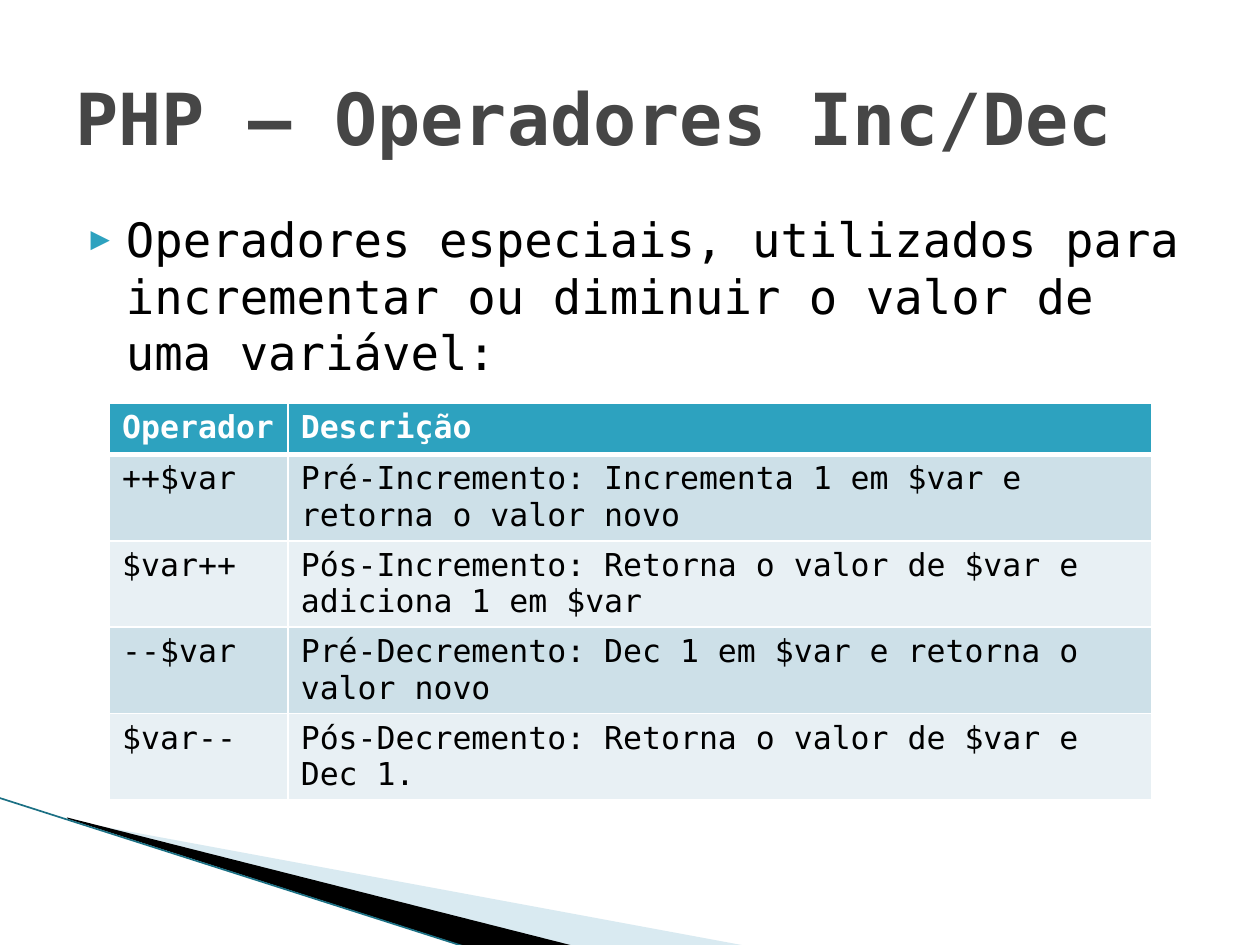
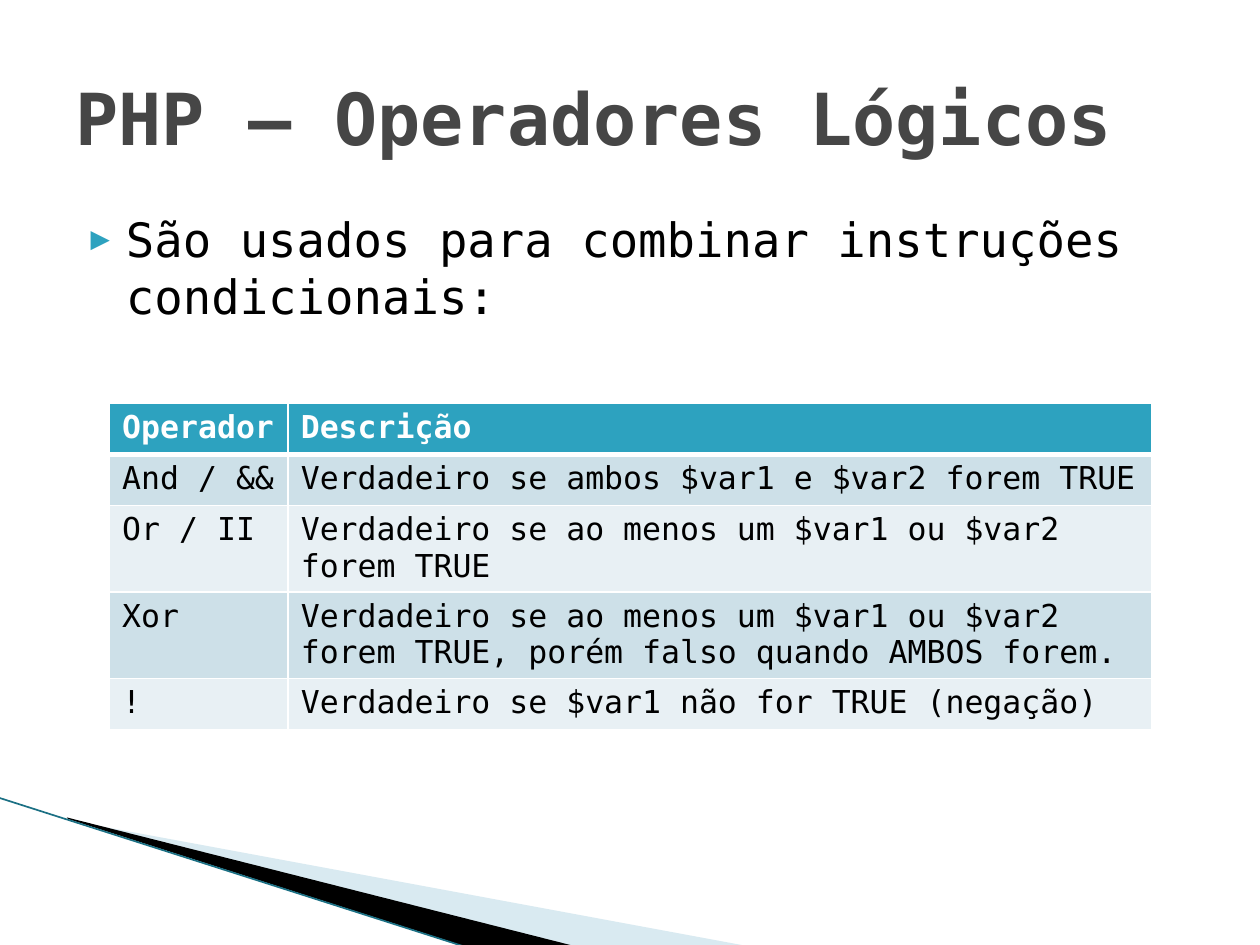
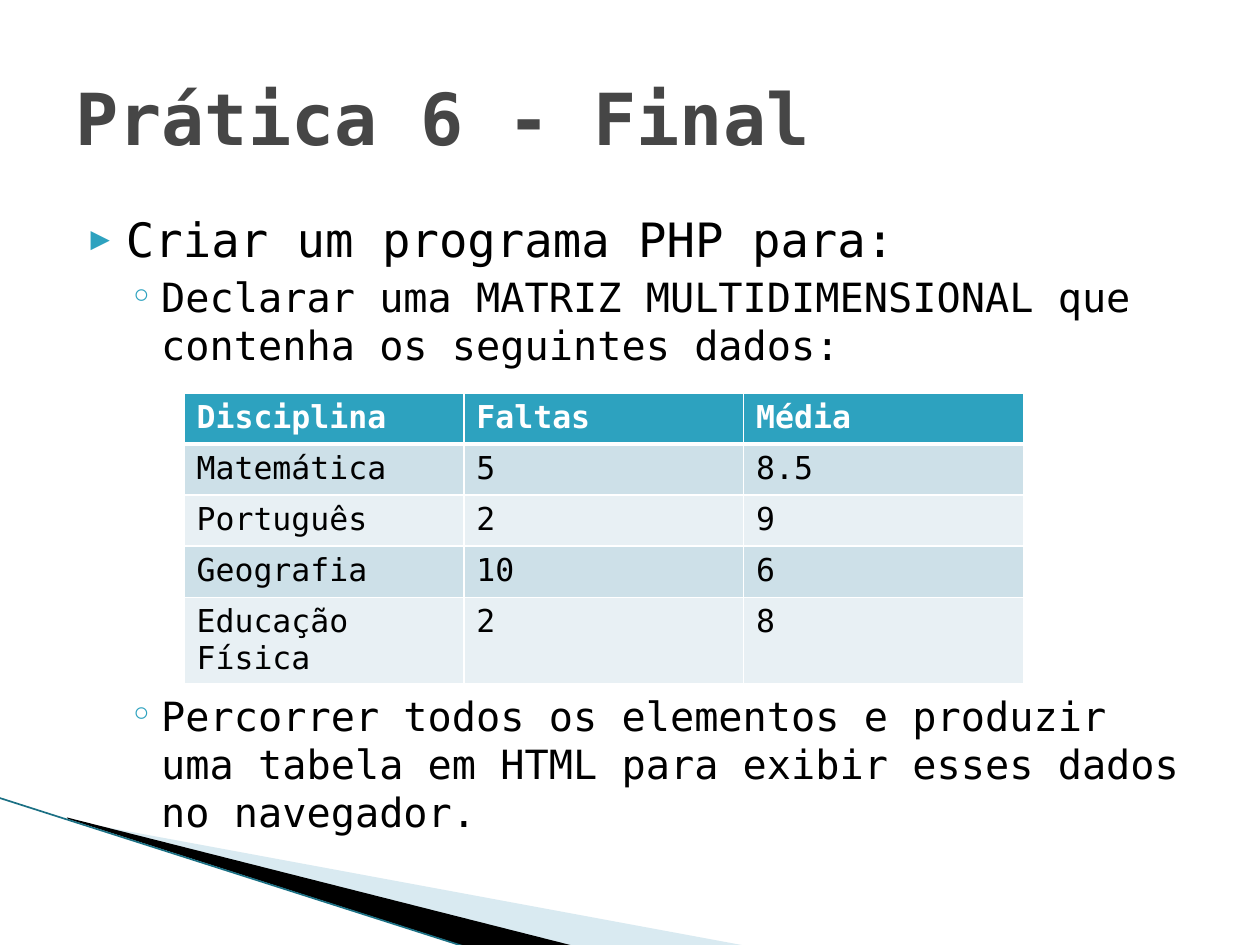
from lxml.etree import SubElement
from pptx import Presentation
from pptx.dml.color import RGBColor
from pptx.enum.shapes import MSO_CONNECTOR
from pptx.enum.text import MSO_ANCHOR
from pptx.oxml.ns import qn
from pptx.util import Cm, Pt

# Shared look
FONT = "DejaVu Sans Mono"
TEAL = RGBColor(0x2D, 0xA2, 0xBF)
DARK_TEAL = RGBColor(0x1B, 0x70, 0x84)
PALE_BLUE = RGBColor(0xA0, 0xCB, 0xDC)
ROW_ODD = RGBColor(0xCD, 0xE0, 0xE8)
ROW_EVEN = RGBColor(0xE8, 0xF0, 0xF4)
GREY = RGBColor(0x46, 0x46, 0x46)
BLACK = RGBColor(0, 0, 0)
WHITE = RGBColor(0xFF, 0xFF, 0xFF)

LEFT, WIDTH = Cm(1.27), Cm(22.86)
ROW_HEIGHT = Cm(1.03)

# Bullet levels: character, size in percent, text size, indent, hanging, space before
LEVELS = [
    ("▶", 68, Pt(27), Cm(1.02), Cm(0.71), Pt(4)),
    ("◦", 100, Pt(23), Cm(1.73), Cm(0.64), Pt(3.2)),
]


def set_font(paragraph, size, color, bold=False):
    font = paragraph.font
    font.name, font.size, font.bold = FONT, size, bold
    font.color.rgb = color


def add_wedge(page, points, color, opacity=100):
    corners = [(Cm(x), Cm(y)) for x, y in points]
    builder = page.shapes.build_freeform(*corners[0])
    builder.add_line_segments(corners[1:])
    wedge = builder.convert_to_shape()
    wedge.shadow.inherit = False
    wedge.line.fill.background()
    wedge.fill.solid()
    wedge.fill.fore_color.rgb = color
    if opacity < 100:
        tint = wedge._element.spPr.find(".//" + qn("a:srgbClr"))
        SubElement(tint, qn("a:alpha"), val=str(opacity * 1000))


def add_corner_bands(page):
    add_wedge(page, [(1.4, 16.54), (15.11, 19.08), (11.58, 19.08), (1.4, 16.51)],
              PALE_BLUE, 40)
    add_wedge(page, [(1.35, 16.48), (11.61, 19.08), (9.45, 19.1), (1.37, 16.51)],
              BLACK)
    edge = page.shapes.add_connector(
        MSO_CONNECTOR.STRAIGHT, Cm(-0.03), Cm(16.08), Cm(9.42), Cm(19.1))
    edge.line.color.rgb = DARK_TEAL
    edge.line.width = Pt(0.95)
    SubElement(edge._element.spPr, qn("a:effectLst"))


def add_title(page, text):
    frame = page.shapes.add_textbox(LEFT, Cm(0.76), WIDTH, Cm(3.18)).text_frame
    frame.word_wrap = True
    frame.vertical_anchor = MSO_ANCHOR.MIDDLE
    para = frame.paragraphs[0]
    para.text = text
    set_font(para, Pt(41), GREY, bold=True)


def add_bullet(para, text, level, space_before=None):
    char, percent, size, indent, hanging, default_space = LEVELS[level]
    para.text = text
    para.level = level
    props = para._p.get_or_add_pPr()
    props.set("marL", str(indent))
    props.set("indent", str(-hanging))
    SubElement(SubElement(props, qn("a:buClr")), qn("a:srgbClr"), val=str(TEAL))
    SubElement(props, qn("a:buSzPct"), val=str(percent * 1000))
    SubElement(props, qn("a:buFont"), typeface=FONT)
    SubElement(props, qn("a:buChar"), char=char)
    para.space_before = space_before or default_space
    set_font(para, size, BLACK)


def add_body(page, bullets):
    frame = page.shapes.add_textbox(LEFT, Cm(4.11), WIDTH, Cm(12.57)).text_frame
    frame.word_wrap = True
    for index, bullet in enumerate(bullets):
        para = frame.add_paragraph() if index else frame.paragraphs[0]
        add_bullet(para, *bullet)


def set_borders(cell, top, bottom):
    props = cell._tc.get_or_add_tcPr()
    for side, width in (("L", 1), ("R", 1), ("T", top), ("B", bottom)):
        border = SubElement(props, qn("a:ln" + side), w=str(Pt(width)))
        fill = SubElement(border, qn("a:solidFill"))
        SubElement(fill, qn("a:srgbClr"), val=str(WHITE))


def add_grid(page, left, top, widths, rows):
    table = page.shapes.add_table(
        len(rows), len(widths), left, top, sum(widths), ROW_HEIGHT * len(rows)).table
    for column, width in zip(table.columns, widths):
        column.width = width
    for r, values in enumerate(rows):
        header = r == 0
        table.rows[r].height = ROW_HEIGHT
        for c, value in enumerate(values):
            cell = table.cell(r, c)
            set_borders(cell, top=3 if r == 1 else 1, bottom=3 if header else 1)
            cell.margin_bottom = Cm(0.09)
            cell.fill.solid()
            cell.fill.fore_color.rgb = TEAL if header else ROW_ODD if r % 2 else ROW_EVEN
            para = cell.text_frame.paragraphs[0]
            para.text = value
            set_font(para, Pt(18), WHITE if header else BLACK, bold=header)


def add_operator_table(page, rows):
    add_grid(page, Cm(2.21), Cm(8.13), [Cm(3.6), Cm(17.4)],
             [("Operador", "Descrição"), *rows])


def add_page(deck, title, bullets):
    page = deck.slides.add_slide(deck.slide_layouts[6])
    add_corner_bands(page)
    add_body(page, bullets)
    add_title(page, title)
    return page


def main():
    deck = Presentation()
    deck.slide_width, deck.slide_height = Cm(25.4), Cm(19.05)

    # Increment and decrement operators
    page = add_page(deck, "PHP – Operadores Inc/Dec", [
        ("Operadores especiais, utilizados para incrementar ou diminuir "
         "o valor de uma variável:", 0)])
    add_operator_table(page, [
        ("++$var", "Pré-Incremento: Incrementa 1 em $var e retorna o valor novo"),
        ("$var++", "Pós-Incremento: Retorna o valor de $var e adiciona 1 em $var"),
        ("--$var", "Pré-Decremento: Dec 1 em $var e retorna o valor novo"),
        ("$var--", "Pós-Decremento: Retorna o valor de $var e Dec 1."),
    ])

    # Logical operators
    page = add_page(deck, "PHP – Operadores Lógicos", [
        ("São usados para combinar instruções condicionais:", 0)])
    add_operator_table(page, [
        ("And / &&", "Verdadeiro se ambos $var1 e $var2 forem TRUE"),
        ("Or / II", "Verdadeiro se ao menos um $var1 ou $var2 forem TRUE"),
        ("Xor", "Verdadeiro se ao menos um $var1 ou $var2 forem TRUE, "
                "porém falso quando AMBOS forem."),
        ("!", "Verdadeiro se $var1 não for TRUE (negação)"),
    ])

    # Final exercise, with room for the table between the two tasks
    page = add_page(deck, "Prática 6 - Final", [
        ("Criar um programa PHP para:", 0),
        ("Declarar uma MATRIZ MULTIDIMENSIONAL que contenha os seguintes dados:", 1),
        ("Percorrer todos os elementos e produzir uma tabela em HTML "
         "para exibir esses dados no navegador.", 1, Pt(184)),
    ])
    add_grid(page, Cm(3.71), Cm(7.92), [Cm(5.64)] * 3, [
        ("Disciplina", "Faltas", "Média"),
        ("Matemática", "5", "8.5"),
        ("Português", "2", "9"),
        ("Geografia", "10", "6"),
        ("Educação Física", "2", "8"),
    ])

    deck.save("out.pptx")


if __name__ == "__main__":
    main()
